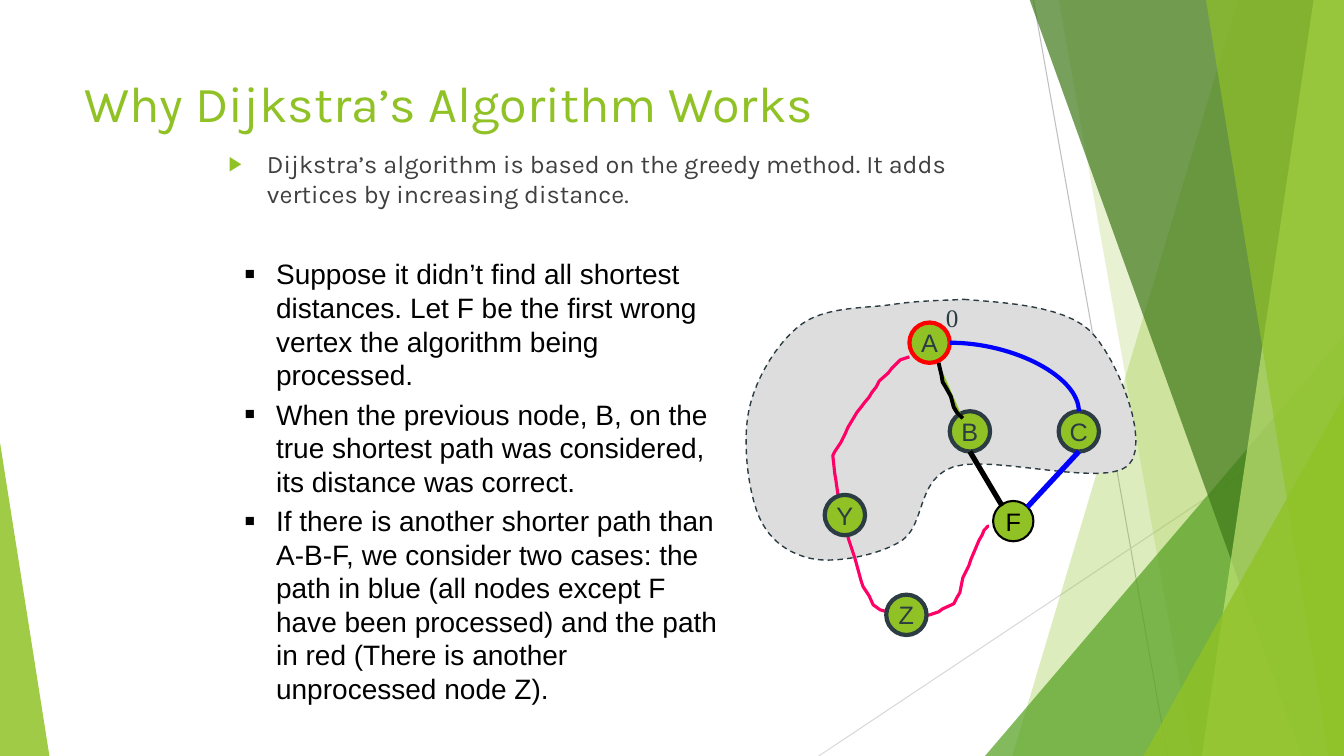
from dataclasses import dataclass
from typing import Optional

from lxml import etree
from pptx import Presentation
from pptx.dml.color import RGBColor
from pptx.enum.dml import MSO_LINE
from pptx.enum.shapes import MSO_CONNECTOR, MSO_SHAPE
from pptx.enum.text import MSO_ANCHOR, PP_ALIGN
from pptx.oxml.ns import qn
from pptx.util import Inches, Pt

TRIANGLE, OVAL = MSO_SHAPE.ISOSCELES_TRIANGLE, MSO_SHAPE.OVAL
STRAIGHT, CURVE = MSO_CONNECTOR.STRAIGHT, MSO_CONNECTOR.CURVE
DASH = MSO_LINE.DASH
MIDDLE, CENTER = MSO_ANCHOR.MIDDLE, PP_ALIGN.CENTER

COLORS = {
    "lime": "90C226", "green": "54A021", "forest": "3F7819", "pale": "C0E474",
    "guide": "BFBFBF", "faint guide": "D9D9D9", "body": "404040", "cloud": "DDDDDD",
    "slate": "2C3C43", "black": "000000", "red": "FF0000", "pink": "FF0066", "blue": "0000FF",
}
WIDTH, HEIGHT, TOP = 13.33, 7.5, -0.01
NODE_SIZE = 0.4
CURVE_STEPS = 12

Point = tuple[float, float]


@dataclass
class Facet:
    """Full-height band from its left edge to the right side of the slide."""
    top_left: float
    bottom_left: float
    color: str
    opacity: int


@dataclass
class Wedge:
    left: float
    top: float
    width: float
    apex: float
    color: str
    opacity: int


@dataclass
class Node:
    label: str
    left: float
    top: float
    outline: str = "slate"
    outline_width: float = 3
    label_color: str = "slate"


@dataclass
class Edge:
    start: Point
    end: Point
    color: str
    width: float
    kind: int = STRAIGHT


@dataclass
class Bullet:
    symbol: str
    color: str
    percent: int
    margin: float
    hanging: float


GUIDES = [
    Edge((10.25, 0), (11.58, HEIGHT), "guide", 0.75),
    Edge((WIDTH, 4.03), (8.12, HEIGHT), "faint guide", 0.75),
]
BACKDROP = [
    Facet(12.28, 10.04, "lime", 30),
    Facet(10.5, 11.83, "lime", 20),
    Wedge(9.77, 3.33, 3.56, 1, "green", 72),
    Facet(10.21, 12.91, "forest", 70),
    Facet(13.03, 11.92, "pale", 70),
    Facet(11.96, 13.18, "lime", 65),
    Wedge(11.34, 3.93, 1.99, 1, "lime", 80),
    Wedge(0, 4.39, 0.49, 0, "lime", 85),
]
CLOUD_START = (9.56, 2.97)
CLOUD_CURVES = [
    ((9.89, 3), (10.55, 3.02), (10.82, 3.29)),
    ((11.09, 3.57), (11.42, 4.4), (11.19, 4.62)),
    ((10.96, 4.84), (9.83, 4.51), (9.46, 4.63)),
    ((9.09, 4.75), (9.18, 5.2), (8.95, 5.36)),
    ((8.72, 5.51), (8.32, 5.58), (8.09, 5.55)),
    ((7.85, 5.51), (7.64, 5.38), (7.53, 5.13)),
    ((7.42, 4.88), (7.36, 4.38), (7.43, 4.06)),
    ((7.5, 3.74), (7.72, 3.38), (7.96, 3.21)),
    ((8.2, 3.04), (8.59, 3.06), (8.86, 3.02)),
    ((9.12, 2.98), (9.42, 2.98), CLOUD_START),
]
PATH_A_Y_Z_F = [
    (9.02, 3.54), (8.93, 3.57), (8.84, 3.66), (8.81, 3.7), (8.72, 3.78), (8.69, 3.84),
    (8.65, 3.89), (8.62, 3.94), (8.57, 4), (8.54, 4.04), (8.5, 4.09), (8.44, 4.19),
    (8.41, 4.24), (8.38, 4.31), (8.34, 4.39), (8.28, 4.48), (8.26, 4.52), (8.28, 4.7),
    (8.29, 4.76), (8.31, 4.9), (8.37, 5.1), (8.39, 5.25), (8.42, 5.36), (8.48, 5.54),
    (8.54, 5.76), (8.56, 5.82), (8.62, 5.91), (8.66, 6), (8.73, 6.05), (8.8, 6.07),
    (8.84, 6.1), (8.93, 6.13), (8.98, 6.15), (9.04, 6.13), (9.22, 6.1), (9.31, 6.07),
    (9.35, 6.04), (9.46, 5.99), (9.49, 5.93), (9.52, 5.88), (9.55, 5.73), (9.61, 5.61),
    (9.63, 5.55), (9.71, 5.36), (9.74, 5.31), (9.76, 5.26), (9.8, 5.22), (9.81, 5.22),
]
PATH_A_B = [
    (9.31, 3.6), (9.34, 3.73), (9.35, 3.79), (9.38, 3.84), (9.43, 3.93),
    (9.46, 4.04), (9.49, 4.09), (9.53, 4.13), (9.55, 4.15),
]
NODES = [
    Node("A", 9.02, 3.2, outline="red"),
    Node("B", 9.42, 4.08),
    Node("C", 10.5, 4.08),
    Node("F", 9.85, 4.97, "black", 1.5, "black"),
    Node("Y", 8.18, 4.91),
    Node("Z", 8.79, 5.9),
]
EDGES = [
    Edge((9.42, 3.4), (10.7, 4.08), "blue", 3, CURVE),
    Edge((10.19, 5.03), (10.7, 4.48), "blue", 3.75),
    Edge((9.94, 5.02), (9.62, 4.48), "black", 3.75),
]
INTRO = ["Dijkstra’s algorithm is based on the greedy method. "
         "It adds vertices by increasing distance."]
ARGUMENT = [
    "Suppose it didn’t find all shortest distances. Let F be the first wrong vertex "
    "the algorithm being processed.",
    "When the previous node, B, on the true shortest path was considered, "
    "its distance was correct.",
    "If there is another shorter path than A-B-F, we consider two cases: the path in blue "
    "(all nodes except F have been processed) and the path in red "
    "(There is another unprocessed node Z).",
]


def rgb(color: str) -> RGBColor:
    return RGBColor.from_string(COLORS[color])


def paint(shape, fill: Optional[str], line: Optional[str] = None,
          line_width: float = 1, opacity: int = 100) -> None:
    shape.shadow.inherit = False
    if fill:
        shape.fill.solid()
        shape.fill.fore_color.rgb = rgb(fill)
        if opacity < 100:
            solid = shape._element.spPr.find(qn("a:solidFill"))
            etree.SubElement(solid[0], qn("a:alpha"), val=str(opacity * 1000))
    else:
        shape.fill.background()
    if line:
        shape.line.color.rgb = rgb(line)
        shape.line.width = Pt(line_width)
    else:
        shape.line.fill.background()


def add_outline(slide, points: list[Point], close: bool):
    start, *others = [(Inches(x), Inches(y)) for x, y in points]
    builder = slide.shapes.build_freeform(*start)
    builder.add_line_segments(others, close=close)
    return builder.convert_to_shape()


def cloud_points() -> list[Point]:
    """Sample the cubic curves that bound the processed vertices."""
    points = [CLOUD_START]
    for curve in CLOUD_CURVES:
        controls = (points[-1], *curve)
        for step in range(1, CURVE_STEPS + 1):
            t = step / CURVE_STEPS
            weights = ((1 - t) ** 3, 3 * t * (1 - t) ** 2, 3 * t * t * (1 - t), t ** 3)
            x, y = (sum(w * p[axis] for w, p in zip(weights, controls)) for axis in (0, 1))
            points.append((x, y))
    return points


def add_edge(slide, edge: Edge) -> None:
    connector = slide.shapes.add_connector(
        edge.kind, *(Inches(v) for v in (*edge.start, *edge.end)))
    connector.line.color.rgb = rgb(edge.color)
    connector.line.width = Pt(edge.width)
    properties = connector._element.spPr
    etree.SubElement(properties, qn("a:effectLst"))
    if edge.kind == CURVE:
        properties.find(qn("a:prstGeom")).set("prst", "curvedConnector2")


def add_facet(slide, facet: Facet) -> None:
    corners = [(facet.top_left, TOP), (WIDTH, TOP), (WIDTH, HEIGHT), (facet.bottom_left, HEIGHT)]
    paint(add_outline(slide, corners, True), facet.color, opacity=facet.opacity)


def add_wedge(slide, wedge: Wedge) -> None:
    shape = slide.shapes.add_shape(TRIANGLE, Inches(wedge.left), Inches(wedge.top),
                                   Inches(wedge.width), Inches(HEIGHT - wedge.top))
    shape.adjustments[0] = wedge.apex
    paint(shape, wedge.color, opacity=wedge.opacity)


def add_run(paragraph, text: str, size: float, font: str, color: str) -> None:
    run = paragraph.add_run()
    run.text = text
    run.font.size, run.font.name = Pt(size), font
    run.font.color.rgb = rgb(color)


def add_node(slide, node: Node) -> None:
    shape = slide.shapes.add_shape(OVAL, Inches(node.left), Inches(node.top),
                                   Inches(NODE_SIZE), Inches(NODE_SIZE))
    paint(shape, "lime", node.outline, node.outline_width)
    frame = shape.text_frame
    frame.word_wrap, frame.vertical_anchor = False, MIDDLE
    frame.paragraphs[0].alignment = CENTER
    add_run(frame.paragraphs[0], node.label, 18, "Arial", node.label_color)


def set_bullet(paragraph, bullet: Bullet) -> None:
    properties = paragraph._p.get_or_add_pPr()
    properties.set("marL", str(Inches(bullet.margin)))
    properties.set("indent", str(-Inches(bullet.hanging)))
    color = etree.SubElement(properties, qn("a:buClr"))
    etree.SubElement(color, qn("a:srgbClr"), val=COLORS[bullet.color])
    etree.SubElement(properties, qn("a:buSzPct"), val=str(bullet.percent * 1000))
    etree.SubElement(properties, qn("a:buFont"), typeface="Arial")
    etree.SubElement(properties, qn("a:buChar"), char=bullet.symbol)


def add_text(slide, box: tuple[float, float, float, float], texts: list[str], size: float,
             font: str, color: str, bullet: Optional[Bullet] = None, wrap: bool = True) -> None:
    frame = slide.shapes.add_textbox(*(Inches(v) for v in box)).text_frame
    frame.word_wrap = wrap
    for index, text in enumerate(texts):
        paragraph = frame.add_paragraph() if index else frame.paragraphs[0]
        if index:
            paragraph.space_before = Pt(size * 0.2)
        if bullet:
            set_bullet(paragraph, bullet)
        if not wrap:
            paragraph.alignment = CENTER
        add_run(paragraph, text, size, font, color)


def main() -> None:
    deck = Presentation()
    deck.slide_width, deck.slide_height = Inches(WIDTH), Inches(HEIGHT)
    slide = deck.slides.add_slide(deck.slide_layouts[6])

    for guide in GUIDES:
        add_edge(slide, guide)
    for piece in BACKDROP:
        if isinstance(piece, Facet):
            add_facet(slide, piece)
        else:
            add_wedge(slide, piece)

    add_text(slide, (0.74, 0.67, 9.4, 1.44), ["Why Dijkstra’s Algorithm Works"], 36, "Karla", "lime")
    add_text(slide, (2.17, 1.42, 7.67, 1.08), INTRO, 18, "Karla", "body",
             Bullet("▶", "lime", 80, 0.38, 0.38))

    cloud = add_outline(slide, cloud_points(), True)
    paint(cloud, "cloud", "slate")
    cloud.line.dash_style = DASH
    add_text(slide, (9.28, 2.95, 0.33, 0.4), ["0"], 18, "Times New Roman", "slate", wrap=False)
    add_text(slide, (1.83, 2.5, 5.42, 4.42), ARGUMENT, 20, "Arial", "black",
             Bullet("■", "black", 60, 0.81, 0.31))

    paint(add_outline(slide, PATH_A_Y_Z_F, False), None, "pink", 2.25)
    for node in NODES:
        add_node(slide, node)
    for edge in EDGES:
        add_edge(slide, edge)
    paint(add_outline(slide, PATH_A_B, False), "lime", "black", 2.75)

    deck.save("out.pptx")


if __name__ == "__main__":
    main()
